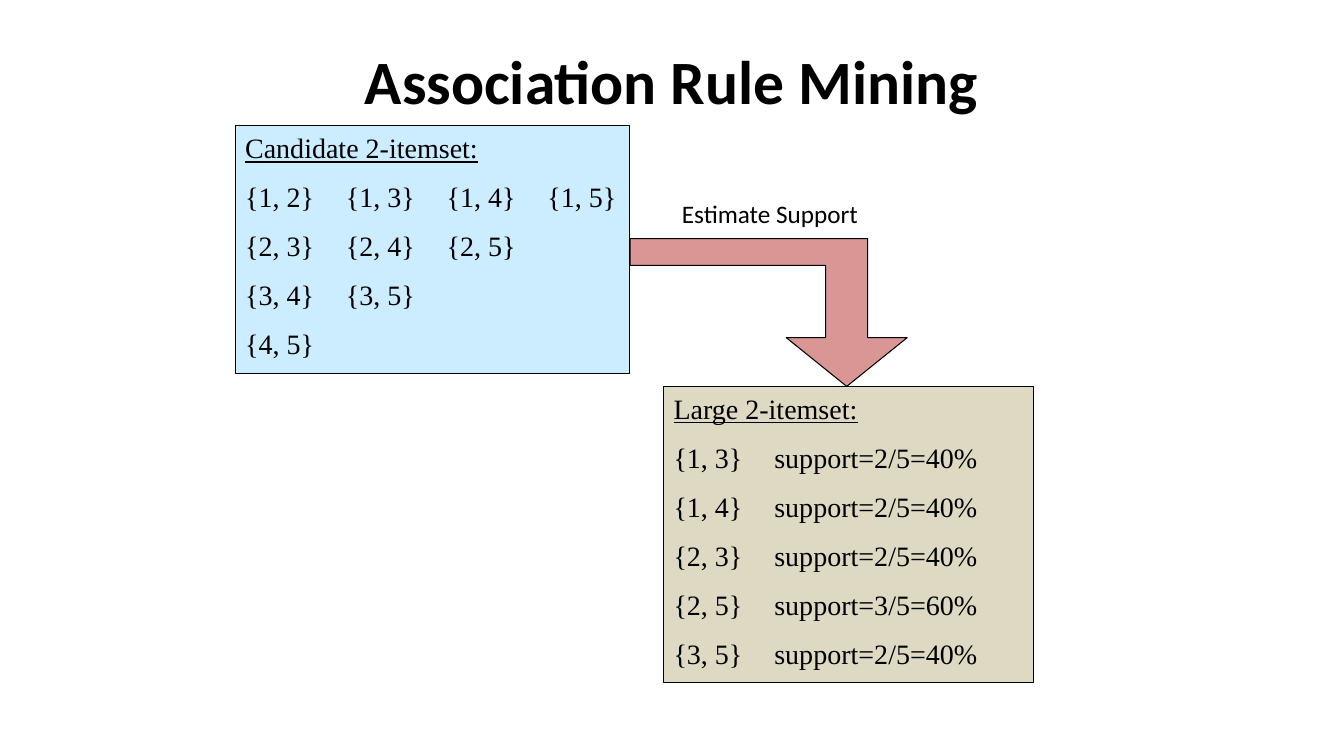
from dataclasses import dataclass

from lxml import etree
from pptx import Presentation, util as u
from pptx.dml import color
from pptx.enum import shapes, text
from pptx.oxml import ns

COLUMNS, ROWS = 160, 90
UNIT = u.Inches(1) // 12


@dataclass(frozen=True)
class Theme:
    ink: str = "000000"
    candidate: str = "CCECFF"
    large: str = "DDD9C3"
    arrow: str = "D99694"
    heading_font: str = "Calibri"
    list_font: str = "Times New Roman"
    title_size: float = 44
    label_size: float = 18
    list_size: float = 20
    list_gap: float = 11
    line_width: float = 0.75


@dataclass(frozen=True)
class Area:
    column: float
    row: float
    columns: float
    rows: float

    def box(self) -> tuple:
        return tuple(grid(n) for n in (self.column, self.row, self.columns, self.rows))


@dataclass(frozen=True)
class Itemset:
    heading: str
    lines: tuple
    area: Area
    fill: str


THEME = Theme()
TITLE_AREA = Area(26, 2, 108, 15)
LABEL_AREA = Area(80, 23, 23.6, 4.8)
ARROW = ((100.8, 46), (93.6, 40.2), (98.3, 40.2), (98.3, 31.6), (75, 31.6),
         (75, 28.4), (103.3, 28.4), (103.3, 40.2), (108, 40.2))
ITEMSETS = (
    Itemset("Candidate 2-itemset:",
            ("{1, 2}\t{1, 3}\t{1, 4}\t{1, 5}", "{2, 3}\t{2, 4}\t{2, 5}",
             "{3, 4}\t{3, 5}", "{4, 5}"),
            Area(28, 15, 47, 29.5), THEME.candidate),
    Itemset("Large 2-itemset:",
            ("{1, 3}\tsupport=2/5=40%", "{1, 4}\tsupport=2/5=40%",
             "{2, 3}\tsupport=2/5=40%", "{2, 5}\tsupport=3/5=60%",
             "{3, 5}\tsupport=2/5=40%"),
            Area(79, 46, 44, 35.2), THEME.large),
)


def grid(n: float) -> int:
    return round(n * UNIT)


def rgb(value: str) -> color.RGBColor:
    return color.RGBColor.from_string(value)


def add_tabs(p, count: int) -> None:
    tabs = etree.SubElement(p._p.get_or_add_pPr(), ns.qn("a:tabLst"))
    for n in range(1, count + 1):
        etree.SubElement(tabs, ns.qn("a:tab"), pos=str(u.Inches(n)), algn="l")


def write(p, words: str, *, font: str, size: float, bold: bool = False,
          underline: bool = False, align=text.PP_ALIGN.LEFT, before: float = 0) -> None:
    if "\t" in words:
        add_tabs(p, words.count("\t"))
    p.alignment = align
    p.space_before = u.Pt(before)
    r = p.add_run()
    r.text = words
    r.font.name, r.font.size = font, u.Pt(size)
    r.font.bold, r.font.underline = bold, underline
    r.font.color.rgb = rgb(THEME.ink)


def paint(sp, fill: str) -> None:
    sp.shadow.inherit = False
    sp.fill.solid()
    sp.fill.fore_color.rgb = rgb(fill)
    sp.line.color.rgb = rgb(THEME.ink)
    sp.line.width = u.Pt(THEME.line_width)


def add_title(s, words: str) -> None:
    sp = s.shapes.title
    sp.left, sp.top, sp.width, sp.height = TITLE_AREA.box()
    tf = sp.text_frame
    tf.vertical_anchor = text.MSO_ANCHOR.MIDDLE
    write(tf.paragraphs[0], words, font=THEME.heading_font, size=THEME.title_size,
          bold=True, align=text.PP_ALIGN.CENTER)


def add_arrow(s) -> None:
    start, *rest = [(grid(x), grid(y)) for x, y in ARROW]
    builder = s.shapes.build_freeform(*start)
    builder.add_line_segments(rest, close=True)
    paint(builder.convert_to_shape(), THEME.arrow)


def add_itemset(s, itemset: Itemset) -> None:
    sp = s.shapes.add_shape(shapes.MSO_SHAPE.RECTANGLE, *itemset.area.box())
    paint(sp, itemset.fill)
    tf = sp.text_frame
    tf.word_wrap = True
    tf.vertical_anchor = text.MSO_ANCHOR.TOP
    style = dict(font=THEME.list_font, size=THEME.list_size)
    write(tf.paragraphs[0], itemset.heading, underline=True, **style)
    for line in itemset.lines:
        write(tf.add_paragraph(), line, before=THEME.list_gap, **style)


def add_label(s, words: str) -> None:
    tf = s.shapes.add_textbox(*LABEL_AREA.box()).text_frame
    tf.word_wrap = False
    write(tf.paragraphs[0], words, font=THEME.heading_font, size=THEME.label_size)


def main() -> None:
    prs = Presentation()
    prs.slide_width, prs.slide_height = grid(COLUMNS), grid(ROWS)
    s = prs.slides.add_slide(prs.slide_layouts.get_by_name("Title Only"))
    add_title(s, "Association Rule Mining")
    add_arrow(s)
    for itemset in ITEMSETS:
        add_itemset(s, itemset)
    add_label(s, "Estimate Support")
    prs.save("out.pptx")


if __name__ == "__main__":
    main()
